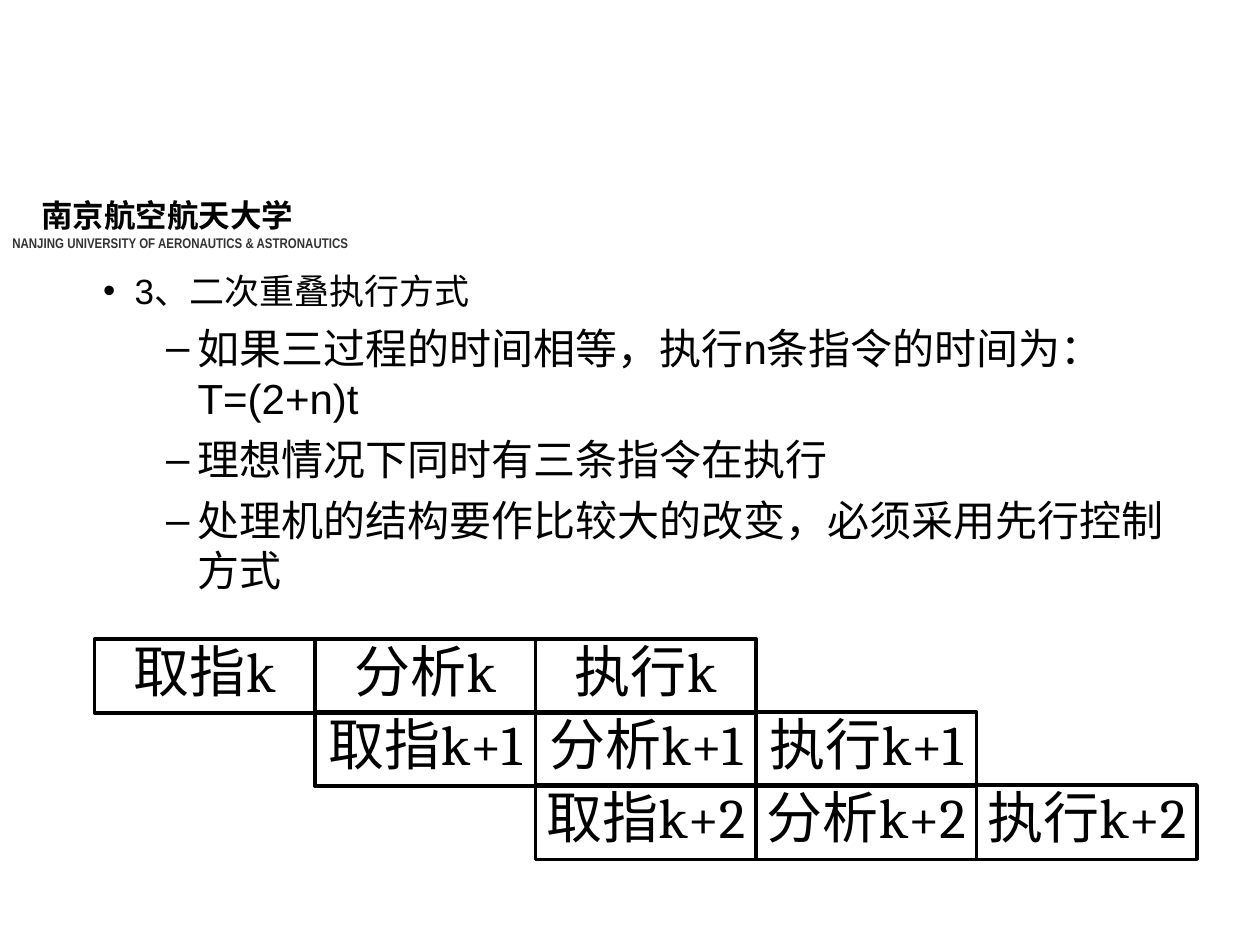
from lxml import etree
from pptx import Presentation
from pptx import util as u
from pptx.dml.color import RGBColor
from pptx.enum import shapes, text
from pptx.oxml.ns import qn

COLORS = {"ink": "000000", "subtitle": "333333"}


class SlideBuilder:
    """Hold the style and the current slide, and add its elements."""

    def __init__(self, page):
        self.page = page
        self.body_font = "Arial"
        self.stage_font = "Cambria"

    def span(self, para, words, size, font, color="ink", bold=False):
        span = para.add_run()
        span.text = words
        span.font.size = u.Pt(size)
        span.font.name = font
        span.font.bold = bold
        span.font.color.rgb = RGBColor.from_string(COLORS[color])

    def indent(self, para, margin, hanging=0):
        properties = para._p.get_or_add_pPr()
        properties.set("marL", str(u.Inches(margin)))
        properties.set("indent", str(u.Inches(-hanging)))
        return properties

    def bullet(self, para, mark, margin):
        properties = self.indent(para, margin, 0.25)
        color = etree.SubElement(properties, qn("a:buClr"))
        etree.SubElement(color, qn("a:srgbClr"), val=COLORS["ink"])
        etree.SubElement(properties, qn("a:buFont"), typeface=self.body_font)
        etree.SubElement(properties, qn("a:buChar"), char=mark)

    def text_box(self, left, top, width, height):
        box = self.page.shapes.add_textbox(*map(u.Inches, (left, top, width, height)))
        box.text_frame.word_wrap = True
        return box.text_frame

    def header(self, name, translation):
        frame = self.text_box(0, 1.51, 3.03, 0.67)
        para = frame.paragraphs[0]
        self.indent(para, 0.23)
        self.span(para, name, 18, self.body_font, bold=True)
        self.span(frame.add_paragraph(), translation, 8, "Arial Narrow", "subtitle", True)

    def outline(self, heading, points):
        frame = self.text_box(-0.28, 2.09, 9.67, 3.28)
        para = frame.paragraphs[0]
        para.level = 2
        self.bullet(para, "•", 1.25)
        self.span(para, heading, 20, self.body_font)
        for point in points:
            para = frame.add_paragraph()
            para.level = 3
            para.space_before = u.Pt(6)
            self.bullet(para, "–", 1.75)
            self.span(para, point, 24, self.body_font)

    def stage(self, left, top, words):
        box = self.page.shapes.add_shape(
            shapes.MSO_SHAPE.RECTANGLE, *map(u.Inches, (left, top, 1.75, 0.59)))
        box.shadow.inherit = False
        box.fill.background()
        box.line.color.rgb = RGBColor.from_string(COLORS["ink"])
        box.line.width = u.Pt(2)
        frame = box.text_frame
        frame.word_wrap = False
        frame.vertical_anchor = text.MSO_ANCHOR.MIDDLE
        frame.margin_left = frame.margin_right = u.Inches(0.08)
        frame.margin_top = frame.margin_bottom = u.Inches(0.04)
        para = frame.paragraphs[0]
        para.alignment = text.PP_ALIGN.CENTER
        para.line_spacing = 0.8
        self.span(para, words, 32, self.stage_font)

    def pipeline(self, stages, instructions):
        for row, instruction in enumerate(instructions):
            for column, name in enumerate(stages):
                self.stage(0.75 + 1.75 * (row + column), 5.07 + 0.58 * row,
                           name + instruction)


def main():
    deck = Presentation()
    deck.slide_width, deck.slide_height = u.Inches(10), u.Inches(7.5)
    builder = SlideBuilder(deck.slides.add_slide(deck.slide_layouts[6]))
    builder.header("南京航空航天大学", "NANJING UNIVERSITY OF AERONAUTICS & ASTRONAUTICS")
    builder.outline("3、二次重叠执行方式", [
        "如果三过程的时间相等，执行n条指令的时间为：T=(2+n)t",
        "理想情况下同时有三条指令在执行",
        "处理机的结构要作比较大的改变，必须采用先行控制方式",
    ])
    builder.pipeline(["取指", "分析", "执行"], ["k", "k+1", "k+2"])
    deck.save("out.pptx")


if __name__ == "__main__":
    main()
